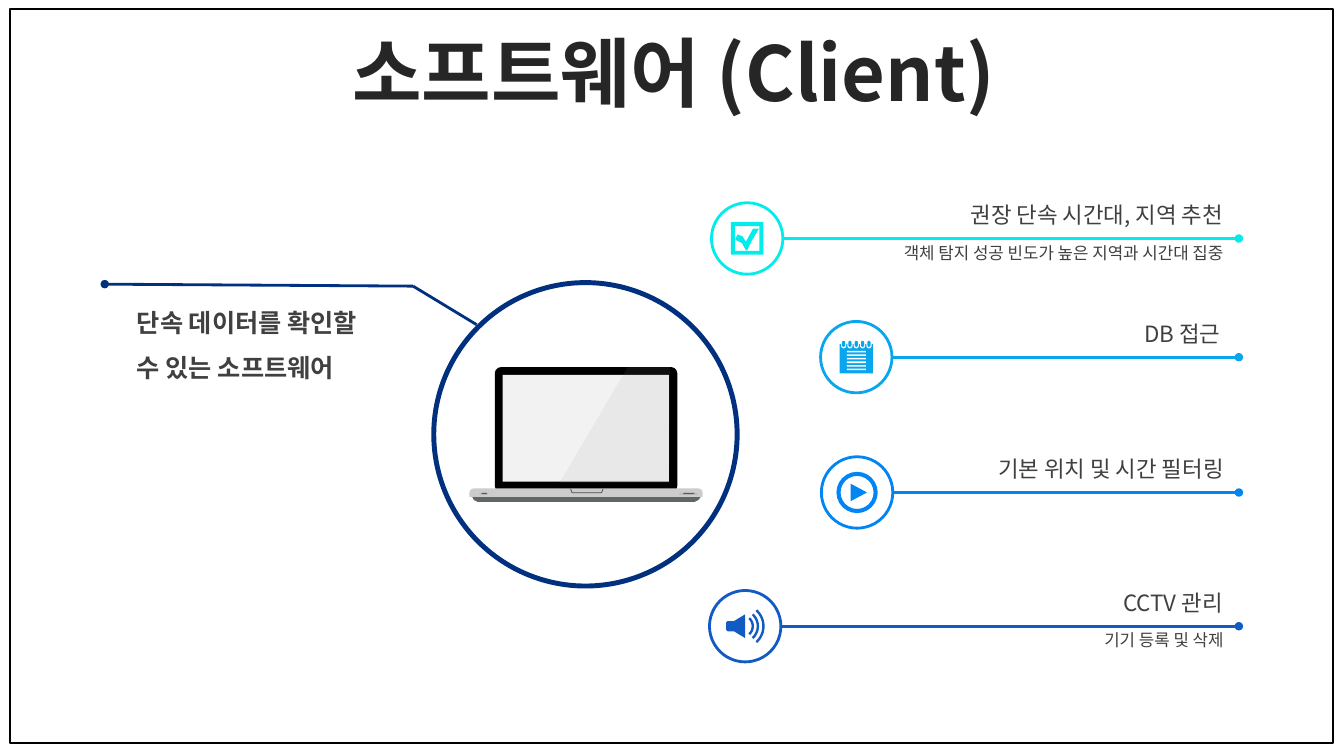
from math import cos, radians, sin

from lxml import etree
from pptx import Presentation
from pptx.dml.color import RGBColor
from pptx.enum.shapes import MSO_CONNECTOR, MSO_SHAPE
from pptx.enum.text import MSO_ANCHOR, MSO_AUTO_SIZE, PP_ALIGN
from pptx.oxml.ns import qn
from pptx.util import Cm, Pt

RECT, ROUNDED = MSO_SHAPE.RECTANGLE, MSO_SHAPE.ROUNDED_RECTANGLE
OVAL, DONUT, FRAME = MSO_SHAPE.OVAL, MSO_SHAPE.DONUT, MSO_SHAPE.FRAME
DECK = MSO_SHAPE.ROUND_2_SAME_RECTANGLE
STRAIGHT = MSO_CONNECTOR.STRAIGHT
LEFT, CENTER, RIGHT = PP_ALIGN.LEFT, PP_ALIGN.CENTER, PP_ALIGN.RIGHT
TOP, MIDDLE = MSO_ANCHOR.TOP, MSO_ANCHOR.MIDDLE
FIXED, GROW = MSO_AUTO_SIZE.NONE, MSO_AUTO_SIZE.SHAPE_TO_FIT_TEXT

FONT = "Noto Sans CJK KR"
WHITE = RGBColor(0xFF, 0xFF, 0xFF)
BLACK = RGBColor(0x00, 0x00, 0x00)
TITLE_INK = RGBColor(0x26, 0x26, 0x26)
TEXT_INK = RGBColor(0x40, 0x40, 0x40)
NAVY = RGBColor(0x00, 0x30, 0x7E)
CYAN = RGBColor(0x02, 0xEC, 0xEC)
SKY = RGBColor(0x0A, 0xA6, 0xED)
AZURE = RGBColor(0x00, 0x85, 0xF2)
COBALT = RGBColor(0x12, 0x5A, 0xC4)
SCREEN = RGBColor(0xF2, 0xF2, 0xF2)
METAL = RGBColor(0xCC, 0xCC, 0xCC)
PORT = RGBColor(0xBF, 0xBF, 0xBF)
PORT_SLOT = RGBColor(0x59, 0x59, 0x59)
NOTCH = RGBColor(0x4D, 0x4D, 0x4D)
UNDERSIDE = RGBColor(0x5F, 0x67, 0x67)
GLARE = RGBColor(0x99, 0x99, 0x99)

RING = 1.8
LINE_END = 31.22


def set_values(target, values):
    """Set each named format value on the target."""
    for name, value in values.items():
        setattr(target, name, value)


def paint(shape, fill, line=None, width=2):
    """Give a shape its fill and outline, without a shadow."""
    shape.shadow.inherit = False
    if fill is None:
        shape.fill.background()
    else:
        shape.fill.solid()
        shape.fill.fore_color.rgb = fill
    if line is None:
        shape.line.fill.background()
    else:
        shape.line.color.rgb = line
        shape.line.width = Pt(width)
    return shape


def add_preset(slide, kind, box, fill, line=None, width=2, adjust=None):
    """Add a painted preset shape at a box given in centimetres."""
    shape = slide.shapes.add_shape(kind, *map(Cm, box))
    if adjust is not None:
        shape.adjustments[0] = adjust
    return paint(shape, fill, line, width)


def add_outline(slide, points, fill, line=None, origin=(0, 0), close=True):
    """Add a freeform through points in centimetres from an origin."""
    start, *rest = [(Cm(origin[0] + x), Cm(origin[1] + y)) for x, y in points]
    builder = slide.shapes.build_freeform(*start)
    builder.add_line_segments(rest, close=close)
    return paint(builder.convert_to_shape(), fill, line, 0.5)


def add_line(slide, start, end, color, dot=None):
    """Add a straight line, with a round dot at its headEnd or tailEnd."""
    line = slide.shapes.add_connector(STRAIGHT, *map(Cm, start + end))
    line.line.color.rgb = color
    line.line.width = Pt(2)
    if dot:
        etree.SubElement(line.line._get_or_add_ln(), qn(f"a:{dot}"), type="oval")
    etree.SubElement(line.element.spPr, qn("a:effectLst"))


def write(frame, text, color, font, paragraph, layout):
    """Fill a text frame with one formatted paragraph."""
    set_values(frame, {"word_wrap": True, **layout})
    line = frame.paragraphs[0]
    set_values(line, paragraph)
    run = line.add_run()
    run.text = text
    run.font.color.rgb = color
    set_values(run.font, {"name": FONT, **font})
    etree.SubElement(run.font._element, qn("a:ea"), typeface=FONT)


def add_label(slide, box, text, size, bold=False, align=RIGHT, spacing=1.0):
    """Add a text box in the body ink."""
    label = slide.shapes.add_textbox(*map(Cm, box))
    write(label.text_frame, text, TEXT_INK, {"size": Pt(size), "bold": bold},
          {"alignment": align, "line_spacing": spacing},
          {"auto_size": GROW, "vertical_anchor": TOP})


def add_title(slide):
    """Place the title over the bordered page frame."""
    title = slide.shapes.title
    set_values(title, {"left": Cm(0.89), "top": Cm(0.94),
                       "width": Cm(32.16), "height": Cm(2.01)})
    write(title.text_frame, "소프트웨어 (Client)", TITLE_INK,
          {"size": Pt(54), "bold": True},
          {"alignment": CENTER, "line_spacing": 0.9, "space_before": Pt(10)},
          {"auto_size": FIXED, "vertical_anchor": MIDDLE})
    page = add_preset(slide, RECT, (0.25, 0.23, 33.35, 18.73 - 0.23), WHITE, BLACK, 1.5)
    title.element.addprevious(page.element)


def draw_check(slide, x, y, color):
    """Draw a ticked box centred on x, y."""
    add_preset(slide, FRAME, (x - 0.41, y - 0.41, 0.82, 0.82), color, adjust=0.12)
    tick = [(-0.3, 0.03), (-0.25, -0.1), (-0.12, -0.06), (-0.03, 0.08),
            (0.15, -0.25), (0.3, -0.25), (0.12, 0.05), (0, 0.3),
            (-0.03, 0.3), (-0.13, 0.12)]
    add_outline(slide, tick, color, origin=(x, y))


def draw_notepad(slide, x, y, color):
    """Draw a ring-bound notepad centred on x, y."""
    add_preset(slide, RECT, (x - 0.42, y - 0.33, 0.84, 0.74), color)
    for ring in range(-2, 3):
        middle = x + ring * 0.16
        for width, top, height, fill in ((0.13, 0.4, 0.18, WHITE), (0.08, 0.41, 0.15, color)):
            add_preset(slide, ROUNDED, (middle - width / 2, y - top, width, height),
                       fill, adjust=0.5)
    for row in range(6):
        add_preset(slide, RECT, (x - 0.24, y - 0.16 + row * 0.09, 0.48, 0.04), WHITE)


def draw_play(slide, x, y, color):
    """Draw a play button centred on x, y."""
    add_preset(slide, DONUT, (x - 0.52, y - 0.52, 1.04, 1.04), color, adjust=0.1)
    add_outline(slide, [(-0.16, -0.22), (0.25, 0), (-0.16, 0.22)], color, origin=(x, y))


def draw_speaker(slide, x, y, color):
    """Draw a loudspeaker with three sound waves centred on x, y."""
    horn = [(0, -0.3), (0, 0.3), (-0.28, 0.13), (-0.44, 0.13), (-0.48, 0.09),
            (-0.48, -0.09), (-0.44, -0.13), (-0.28, -0.13)]
    add_outline(slide, horn, color, origin=(x, y))
    angles = [radians(degree) for degree in range(-48, 49, 6)]
    for radius in (0.3, 0.43, 0.57):
        outer = [(radius * cos(a), radius * sin(a)) for a in angles]
        inner = [((radius - 0.06) * cos(a), (radius - 0.06) * sin(a)) for a in reversed(angles)]
        add_outline(slide, outer + inner, color, origin=(x - 0.08, y))


def add_feature(slide, left, top, color, draw_icon, heading, heading_box, note):
    """Add a ringed icon, its line, heading and optional note."""
    middle = top + RING / 2
    add_preset(slide, OVAL, (left, top, RING, RING), WHITE, color)
    add_line(slide, (left + RING, middle), (LINE_END, middle), color, "tailEnd")
    draw_icon(slide, left + RING / 2, middle, color)
    heading_left, heading_width = heading_box
    add_label(slide, (heading_left, middle - 1.06, heading_width, 0.94), heading, 16)
    if note:
        add_label(slide, (19.84, middle - 0.03, 11.25, 0.76), note, 12)


def add_callout(slide):
    """Add the large ring with its bent line and description."""
    add_preset(slide, DONUT, (10.87, 7.06, 7.77, 7.77), NAVY, adjust=0.016)
    add_line(slide, (2.64, 7.16), (10.41, 7.21), NAVY, "headEnd")
    add_line(slide, (10.41, 7.21), (12.01, 8.18), NAVY)
    add_label(slide, (3.2, 7.24, 6.71, 2.41), "단속 데이터를 확인할 수 있는 소프트웨어",
              18, True, LEFT, 1.5)


def draw_laptop(slide):
    """Draw the laptop inside the large ring."""
    underside = [(11.89, 12.5), (17.68, 12.5), (17.6, 12.6), (17.5, 12.65),
                 (12.04, 12.65), (11.94, 12.6)]
    add_outline(slide, underside, UNDERSIDE)
    add_preset(slide, ROUNDED, (12.47, 9.25, 4.6, 3.15), BLACK, adjust=0.05)
    add_preset(slide, RECT, (12.67, 9.45, 4.19, 2.69), SCREEN)
    add_preset(slide, DECK, (11.83, 12.31, 5.88, 0.21), METAL, adjust=0.5)
    notch = [(14.38, 12.32), (14.42, 12.42), (15.16, 12.42), (15.2, 12.32)]
    add_outline(slide, notch, None, NOTCH, close=False)
    for left, width, slot_left, slot_width in ((12.09, 0.2, 12.14, 0.13),
                                               (17.12, 0.46, 17.22, 0.28)):
        add_preset(slide, ROUNDED, (left, 12.42, width, 0.05), PORT, adjust=0.28)
        add_preset(slide, ROUNDED, (slot_left, 12.42, slot_width, 0.03), PORT_SLOT, adjust=0.28)
    glare = add_outline(slide, [(15.82, 9.25), (16.89, 9.25), (16.87, 12.17), (14.1, 12.17)], GLARE)
    tint = glare.element.spPr.find(f"{qn('a:solidFill')}/{qn('a:srgbClr')}")
    etree.SubElement(tint, qn("a:alpha"), val="10000")


def main():
    """Build the client software slide."""
    deck = Presentation()
    set_values(deck, {"slide_width": Cm(33.87), "slide_height": Cm(19.05)})
    slide = deck.slides.add_slide(deck.slide_layouts[5])
    add_title(slide)
    add_callout(slide)
    draw_laptop(slide)
    features = (
        (17.93, 5.11, CYAN, draw_check, "권장 단속 시간대, 지역 추천", (19.79, 11.28),
         "객체 탐지 성공 빈도가 높은 지역과 시간대 집중"),
        (20.68, 8.1, SKY, draw_notepad, "DB 접근", (22.68, 8.33), None),
        (20.7, 11.51, AZURE, draw_play, "기본 위치 및 시간 필터링", (22.76, 8.33), None),
        (17.88, 14.88, COBALT, draw_speaker, "CCTV 관리", (19.79, 11.28), "기기 등록 및 삭제"),
    )
    for feature in features:
        add_feature(slide, *feature)
    deck.save("out.pptx")


if __name__ == "__main__":
    main()
